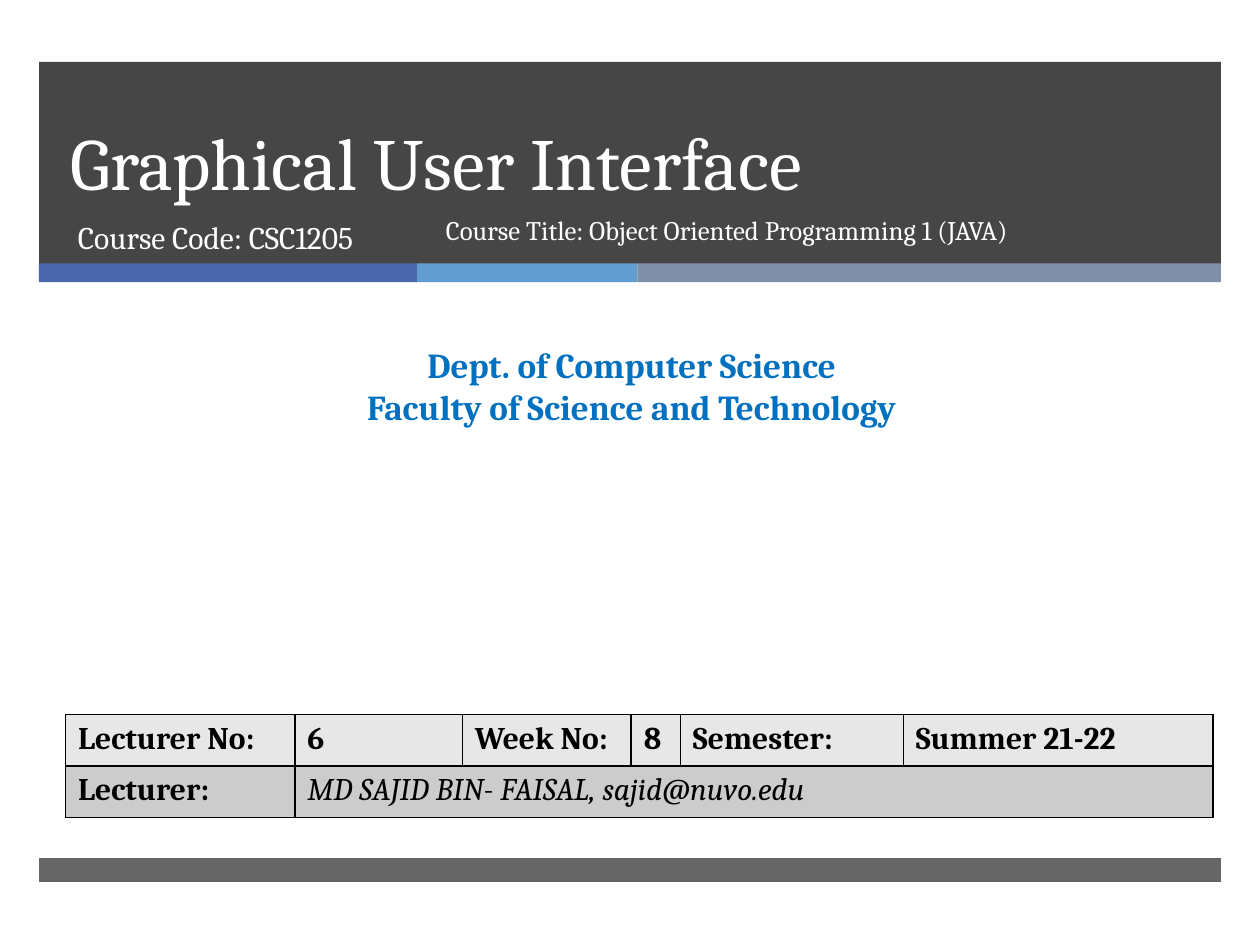
"""Build the title slide of a lecture on graphical user interfaces."""
from lxml import etree
from pptx import Presentation
from pptx.dml.color import RGBColor
from pptx.enum.shapes import MSO_SHAPE
from pptx.enum.text import MSO_ANCHOR, MSO_AUTO_SIZE, PP_ALIGN
from pptx.oxml.ns import qn
from pptx.util import Inches, Pt

RECTANGLE = MSO_SHAPE.RECTANGLE
LEFT, CENTER = PP_ALIGN.LEFT, PP_ALIGN.CENTER
TOP, BOTTOM = MSO_ANCHOR.TOP, MSO_ANCHOR.BOTTOM
FIXED = MSO_AUTO_SIZE.NONE

FONT = "Cambria"
COLORS = {
    "dark": "262626", "blue": "4A66AC", "sky": "629DD1", "slate": "7F8FA9",
    "white": "FFFFFF", "department": "0070C0", "black": "000000",
    "light_row": "E7E7E7", "dark_row": "CCCCCC",
}

TITLE = "Graphical User Interface"
COURSE_CODE = "Course Code: CSC1205"
COURSE_TITLE = "Course Title: Object Oriented Programming 1 (JAVA)"
DEPARTMENT = ["Dept. of Computer Science", "Faculty of Science and Technology"]
LECTURE_ROWS = [
    ["Lecturer No:", "6", "Week No:", "8", "Semester:", "Summer 21-22"],
    ["Lecturer:", "MD SAJID BIN- FAISAL, sajid@nuvo.edu"],
]
COLUMN_WIDTHS = [1.82, 1.33, 1.34, 0.39, 1.77, 2.46]
ROW_HEIGHT = 0.41

BAND_LEFT, BAND_WIDTH = 0.31, 9.38
BANDS = [(0.49, 1.61, 85), (6.81, 0.19, 70)]
STRIPES = [("blue", 3), ("sky", 1.75), ("slate", 4.63)]
STRIPE_TOP, STRIPE_HEIGHT = 2.09, 0.15


def rgb(name):
    return RGBColor.from_string(COLORS[name])


def add_bar(slide, left, top, width, height, color, opacity=100):
    bar = slide.shapes.add_shape(
        RECTANGLE, Inches(left), Inches(top), Inches(width), Inches(height))
    bar.shadow.inherit = False
    bar.fill.solid()
    bar.fill.fore_color.rgb = rgb(color)
    bar.line.fill.background()
    if opacity < 100:
        fill_color = bar.element.spPr.find(qn("a:solidFill"))[0]
        etree.SubElement(fill_color, qn("a:alpha"), val=str(opacity * 1000))


def write(frame, lines, size, color, align=LEFT, bold=False, italic=False, spacing=None):
    frame.text = "\n".join(lines)
    for paragraph in frame.paragraphs:
        paragraph.alignment = align
        paragraph.line_spacing = spacing
        font = paragraph.font
        font.name, font.size = FONT, Pt(size)
        font.bold, font.italic = bold, italic
        font.color.rgb = rgb(color)


def place(shape, left, top, width, height, anchor=TOP):
    shape.left, shape.top = Inches(left), Inches(top)
    shape.width, shape.height = Inches(width), Inches(height)
    frame = shape.text_frame
    frame.word_wrap = True
    frame.auto_size = FIXED
    frame.vertical_anchor = anchor
    return frame


def add_text(slide, box, *style, **options):
    shape = slide.shapes.add_textbox(0, 0, 0, 0)
    write(place(shape, *box), *style, **options)


def add_borders(cell):
    properties = cell._tc.get_or_add_tcPr()
    for side in ("lnL", "lnR", "lnT", "lnB"):
        line = etree.SubElement(properties, qn("a:" + side), w=str(Pt(1)))
        fill = etree.SubElement(line, qn("a:solidFill"))
        etree.SubElement(fill, qn("a:srgbClr"), val=COLORS["black"])


def add_lecture_table(slide):
    rows, columns = len(LECTURE_ROWS), len(COLUMN_WIDTHS)
    table = slide.shapes.add_table(
        rows, columns, Inches(0.52), Inches(5.67),
        Inches(sum(COLUMN_WIDTHS)), Inches(ROW_HEIGHT * rows)).table
    for column, width in zip(table.columns, COLUMN_WIDTHS):
        column.width = Inches(width)
    for index, (texts, color) in enumerate(zip(LECTURE_ROWS, ("light_row", "dark_row"))):
        table.rows[index].height = Inches(ROW_HEIGHT)
        for cell in table.rows[index].cells:
            add_borders(cell)
            cell.fill.solid()
            cell.fill.fore_color.rgb = rgb(color)
        for column, text in enumerate(texts):
            is_name = (index, column) == (1, 1)
            write(table.cell(index, column).text_frame, [text], 18, "black",
                  bold=not is_name, italic=is_name)
    table.cell(1, 1).merge(table.cell(1, columns - 1))


def main():
    presentation = Presentation()
    presentation.slide_width, presentation.slide_height = Inches(10), Inches(7.5)
    slide = presentation.slides.add_slide(presentation.slide_layouts[5])

    for top, height, opacity in BANDS:
        add_bar(slide, BAND_LEFT, top, BAND_WIDTH, height, "dark", opacity)
    left = BAND_LEFT
    for color, width in STRIPES:
        add_bar(slide, left, STRIPE_TOP, width, STRIPE_HEIGHT, color)
        left += width

    title = slide.shapes.title
    title.element.getparent().append(title.element)
    write(place(title, 0.46, 0.49, 8.54, 1.19, BOTTOM), [TITLE], 42, "white",
          spacing=Pt(46))
    add_text(slide, (0.52, 1.68, 3.05, 0.53), [COURSE_CODE], 18, "white")
    add_text(slide, (0.08, 2.68, 9.87, 0.77), DEPARTMENT, 20, "department",
             align=CENTER, bold=True)
    add_lecture_table(slide)
    add_text(slide, (3.44, 1.68, 4.89, 0.53), [COURSE_TITLE], 15.3, "white", spacing=0.9)
    presentation.save("out.pptx")


main()
